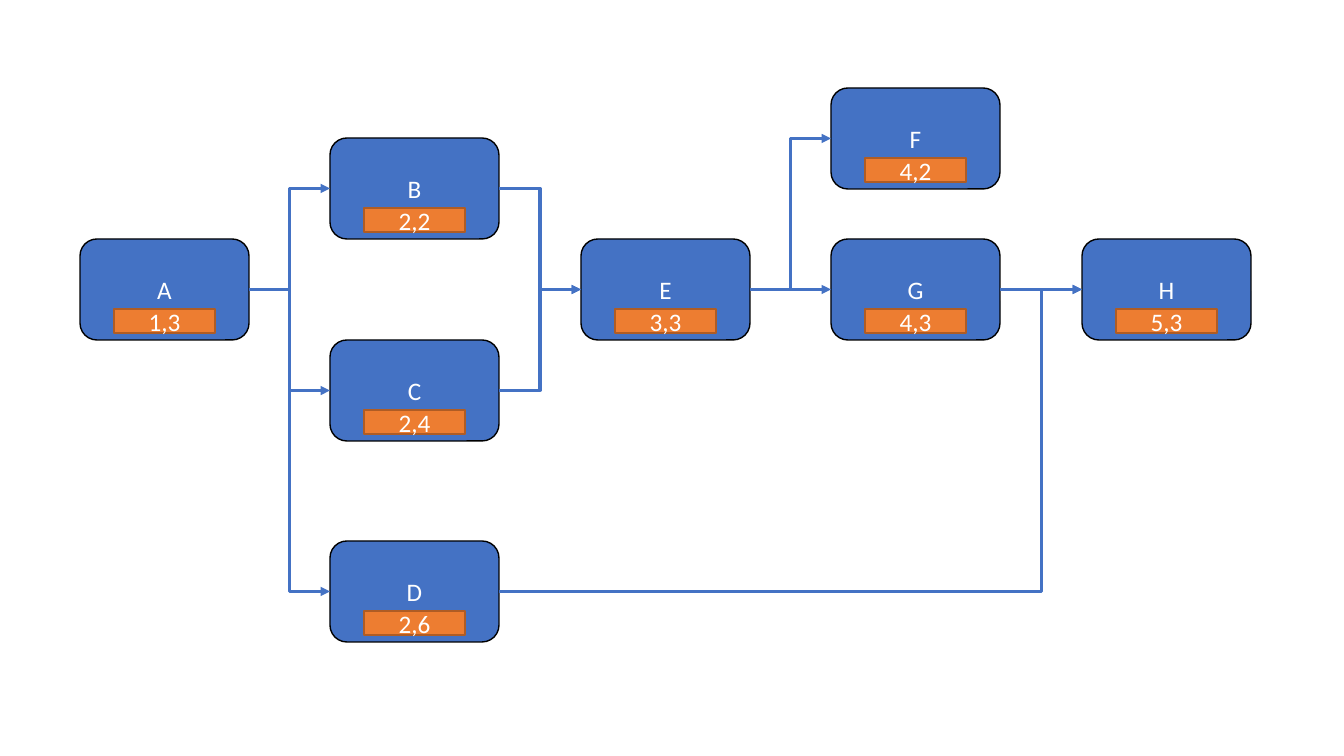
from lxml import etree
from pptx import Presentation
from pptx.dml.color import RGBColor
from pptx.enum.shapes import MSO_CONNECTOR, MSO_SHAPE
from pptx.enum.text import MSO_ANCHOR, PP_ALIGN
from pptx.oxml.ns import qn
from pptx.util import Pt

ROUND, RECT = MSO_SHAPE.ROUNDED_RECTANGLE, MSO_SHAPE.RECTANGLE
BENT, LINE = MSO_CONNECTOR.ELBOW, MSO_CONNECTOR.STRAIGHT
MIDDLE, CENTER = MSO_ANCHOR.MIDDLE, PP_ALIGN.CENTER
LEFT_SITE, RIGHT_SITE = 1, 3

SCALE = 914400 / 100.8
WIDE, HIGH = 1344, 756
BOX_W, BOX_H = 169, 101
TAG_W, TAG_H, TAG_Y = 101, 24, 70

# Task: column, row and tag text; F sits half a row above its number.
TASKS = {
    "A": (1, 3, "1,3"),
    "B": (2, 2, "2,2"),
    "C": (2, 4, "2,4"),
    "D": (2, 6, "2,6"),
    "E": (3, 3, "3,3"),
    "F": (4, 1.5, "4,2"),
    "G": (4, 3, "4,3"),
    "H": (5, 3, "5,3"),
}
# Link: start, end and where along its width it bends.
LINKS = [
    ("A", "B", 0.5), ("A", "C", 0.5), ("A", "D", 0.5),
    ("B", "E", 0.5), ("C", "E", 0.5),
    ("E", "F", 0.5), ("E", "G", 0.5),
    ("G", "H", 0.5), ("D", "H", 0.93),
]


def emu(px):
    """Turn pixels into EMU."""
    return round(px * SCALE)


def color(code):
    """Turn a hex string into a colour."""
    return RGBColor.from_string(code)


class Chart:
    """Style and slide of the task network."""

    font, size, ink = "Calibri", 18, "FFFFFF"
    blue, black = "4472C4", "000000"
    orange, brown = "ED7D31", "AF5C24"

    def __init__(self, slide):
        """Keep the slide to draw on."""
        self.slide = slide

    def block(self, kind, spot, text, fill, edge):
        """Draw a filled shape with centred text."""
        shape = self.slide.shapes.add_shape(kind, *map(emu, spot))
        shape.shadow.inherit = False
        shape.fill.solid()
        shape.fill.fore_color.rgb = color(fill)
        shape.line.color.rgb = color(edge)
        shape.line.width = Pt(1)
        frame = shape.text_frame
        frame.text = text
        frame.vertical_anchor = MIDDLE
        para = frame.paragraphs[0]
        para.alignment = CENTER
        font = para.runs[0].font
        font.name, font.size = self.font, Pt(self.size)
        font.color.rgb = color(self.ink)
        return shape

    def task(self, name, col, row, tag):
        """Draw a task box with its tag and return the box."""
        left = round(80 + 250.4 * (col - 1))
        top = round(100.8 * row - 63.5)
        box = self.block(ROUND, (left, top, BOX_W, BOX_H),
                         name, self.blue, self.black)
        inset = (BOX_W - TAG_W) // 2
        self.block(RECT, (left + inset, top + TAG_Y, TAG_W, TAG_H),
                   tag, self.orange, self.brown)
        return box

    def link(self, start, end, bend):
        """Join the right side of one box to the left of another."""
        kind = LINE if start.top == end.top else BENT
        wire = self.slide.shapes.add_connector(kind, 0, 0, 0, 0)
        wire.begin_connect(start, RIGHT_SITE)
        wire.end_connect(end, LEFT_SITE)
        wire.line.color.rgb = color(self.blue)
        wire.line.width = Pt(2.25)
        etree.SubElement(wire.line._get_or_add_ln(), qn("a:tailEnd"),
                         type="triangle")
        props = wire._element.spPr
        etree.SubElement(props, qn("a:effectLst"))
        if kind == BENT:
            etree.SubElement(props.find(".//" + qn("a:avLst")), qn("a:gd"),
                             name="adj1", fmla=f"val {round(bend * 100000)}")


def main():
    """Build and save the slide."""
    deck = Presentation()
    deck.slide_width, deck.slide_height = emu(WIDE), emu(HIGH)
    chart = Chart(deck.slides.add_slide(deck.slide_layouts[6]))
    boxes = {name: chart.task(name, *data) for name, data in TASKS.items()}
    for start, end, bend in LINKS:
        chart.link(boxes[start], boxes[end], bend)
    deck.save("out.pptx")


main()
